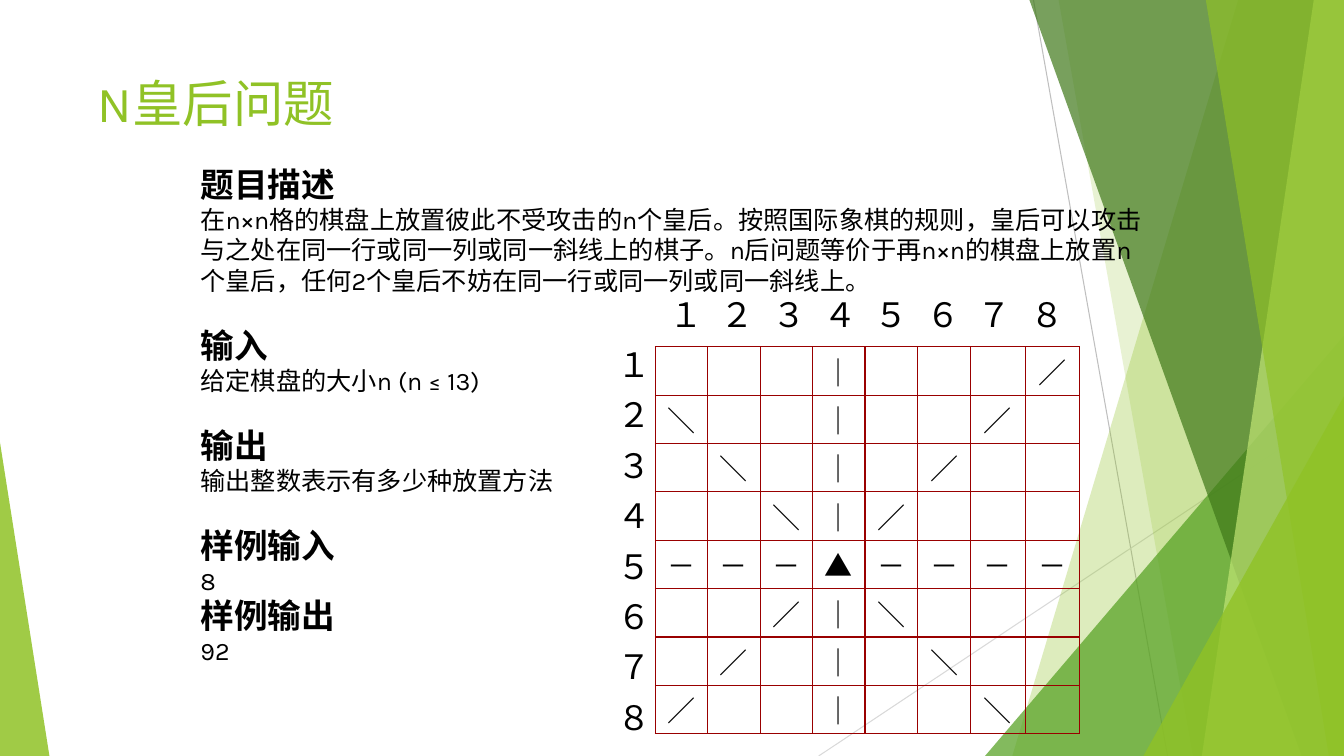
from lxml.etree import SubElement
from pptx import Presentation
from pptx.dml.color import RGBColor
from pptx.enum.shapes import MSO_CONNECTOR, MSO_SHAPE
from pptx.enum.text import MSO_ANCHOR, PP_ALIGN
from pptx.oxml.ns import qn
from pptx.util import Inches, Pt

LIME = RGBColor(0x90, 0xC2, 0x26)
GREEN = RGBColor(0x54, 0xA0, 0x21)
FOREST = RGBColor(0x3F, 0x78, 0x19)
PALE = RGBColor(0xC0, 0xE4, 0x74)
GRAY = RGBColor(0xBF, 0xBF, 0xBF)
LIGHT_GRAY = RGBColor(0xD9, 0xD9, 0xD9)
BLACK = RGBColor(0, 0, 0)
BOARD_RED = RGBColor(0x99, 0, 0)
LATIN_FONT = "Karla"
CHINESE_FONT = "Noto Sans CJK SC"
PLAIN_TABLE_STYLE = "{2D5ABB26-0587-4C30-8999-92F81FD0307C}"
WIDTH, HEIGHT = 13.33, 7.5

TITLE = "N皇后问题"
SECTIONS = [
    ("题目描述", "在n×n格的棋盘上放置彼此不受攻击的n个皇后。按照国际象棋的规则，皇后可以攻击与之处在同一行或同一列或同一斜线上的棋子。n后问题等价于再n×n的棋盘上放置n个皇后，任何2个皇后不妨在同一行或同一列或同一斜线上。", 0),
    ("输入", "给定棋盘的大小n (n ≤ 13)", 21),
    ("输出", "输出整数表示有多少种放置方法", 21),
    ("样例输入", "8", 21),
    ("样例输出", "92", 0),
]
LABELS = "１２３４５６７８"
SIZE = len(LABELS)
QUEEN_ROW, QUEEN_COLUMN = 4, 3
RAYS = [
    ((10.25, 0), (11.58, HEIGHT), GRAY),
    ((WIDTH, 4.03), (8.12, HEIGHT), LIGHT_GRAY),
]
BAND, TRIANGLE = "band", "triangle"
FACETS = [
    (BAND, (12.28, 10.04), LIME, 30),
    (BAND, (10.5, 11.83), LIME, 20),
    (TRIANGLE, (9.77, 3.33, 3.56, 1), GREEN, 72),
    (BAND, (10.21, 12.91), FOREST, 70),
    (BAND, (13.03, 11.92), PALE, 70),
    (BAND, (11.96, 13.18), LIME, 65),
    (TRIANGLE, (11.34, 3.93, 1.99, 1), LIME, 80),
    (TRIANGLE, (0, 4.39, 0.49, 0), LIME, 85),
]


def add_ray(page, start, end, color):
    ray = page.shapes.add_connector(
        MSO_CONNECTOR.STRAIGHT, *[Inches(value) for value in start + end])
    ray.line.color.rgb = color
    ray.line.width = Pt(0.75)
    SubElement(ray._element.spPr, qn("a:effectLst"))


def add_facet(page, kind, geometry, color, opacity):
    if kind == BAND:
        top_x, bottom_x = geometry
        outline = page.shapes.build_freeform(Inches(top_x), 0, scale=1.0)
        corners = [(WIDTH, 0), (WIDTH, HEIGHT), (bottom_x, HEIGHT)]
        outline.add_line_segments(
            [(Inches(x), Inches(y)) for x, y in corners], close=True)
        facet = outline.convert_to_shape()
    else:
        left, top, width, apex = geometry
        facet = page.shapes.add_shape(
            MSO_SHAPE.ISOSCELES_TRIANGLE, Inches(left), Inches(top),
            Inches(width), Inches(HEIGHT - top))
        facet.adjustments[0] = apex
    facet.shadow.inherit = False
    facet.line.fill.background()
    facet.fill.solid()
    facet.fill.fore_color.rgb = color
    tint = facet._element.spPr.find(qn("a:solidFill"))[0]
    SubElement(tint, qn("a:alpha"), val=str(opacity * 1000))


def add_span(para, text, size, font, color=BLACK, bold=False):
    span = para.add_run()
    span.text = text
    span.font.size = Pt(size)
    span.font.bold = bold
    span.font.color.rgb = color
    span.font.name = font
    SubElement(span._r.get_or_add_rPr(), qn("a:ea"), typeface=CHINESE_FONT)


def add_text_box(page, left, top, width, height):
    box = page.shapes.add_textbox(
        Inches(left), Inches(top), Inches(width), Inches(height))
    box.text_frame.word_wrap = True
    return box.text_frame


def add_plain_table(page, left, top, column_widths, row_heights):
    table = page.shapes.add_table(
        len(row_heights), len(column_widths), Inches(left), Inches(top),
        Inches(sum(column_widths)), Inches(sum(row_heights))).table
    table.first_row = table.horz_banding = False
    table._tbl.tblPr.find(qn("a:tableStyleId")).text = PLAIN_TABLE_STYLE
    for column, width in zip(table.columns, column_widths):
        column.width = Inches(width)
    for row, height in zip(table.rows, row_heights):
        row.height = Inches(height)
    for cell in table.iter_cells():
        cell.margin_left = cell.margin_right = 0
        cell.margin_top = cell.margin_bottom = 0
        cell.vertical_anchor = MSO_ANCHOR.MIDDLE
    return table


def fill_cell(cell, text, size):
    para = cell.text_frame.paragraphs[0]
    para.alignment = PP_ALIGN.CENTER
    add_span(para, text, size, CHINESE_FONT)


def add_borders(cell):
    properties = cell._tc.get_or_add_tcPr()
    for side in ("lnL", "lnR", "lnT", "lnB"):
        edge = SubElement(properties, qn(f"a:{side}"), w=str(Pt(1)))
        fill = SubElement(edge, qn("a:solidFill"))
        SubElement(fill, qn("a:srgbClr"), val=str(BOARD_RED))


def attack_mark(row, column):
    down, across = row - QUEEN_ROW, column - QUEEN_COLUMN
    if down == 0:
        return "▲" if across == 0 else "－"
    if across == 0:
        return "｜"
    return {down: "＼", -down: "／"}.get(across, "")


def main():
    deck = Presentation()
    deck.slide_width, deck.slide_height = Inches(WIDTH), Inches(HEIGHT)
    page = deck.slides.add_slide(deck.slide_layouts[6])
    for ray in RAYS:
        add_ray(page, *ray)
    for facet in FACETS:
        add_facet(page, *facet)

    title = add_text_box(page, 0.74, 0.67, 9.4, 1.44)
    title.margin_left = Inches(0.23)
    add_span(title.paragraphs[0], TITLE, 36, LATIN_FONT, LIME)

    body = add_text_box(page, 1.89, 1.58, 9.64, 5.15)
    for index, (heading, text, gap) in enumerate(SECTIONS):
        para = body.add_paragraph() if index else body.paragraphs[0]
        if gap:
            para.space_before = Pt(gap)
        add_span(para, heading, 24, CHINESE_FONT, bold=True)
        add_span(body.add_paragraph(), text, 18, LATIN_FONT)

    axes = add_plain_table(
        page, 6.04, 2.85, [0.51] * SIZE + [0.53], [0.5] * (SIZE + 1))
    axes.cell(1, 1).merge(axes.cell(SIZE, SIZE))
    for index, label in enumerate(LABELS, 1):
        fill_cell(axes.cell(0, index), label, 24)
        fill_cell(axes.cell(index, 0), label, 24)

    board = add_plain_table(
        page, 6.5, 3.44, [0.52] * 5 + [0.53, 0.54, 0.54], [0.48] * SIZE)
    for row in range(SIZE):
        for column in range(SIZE):
            cell = board.cell(row, column)
            add_borders(cell)
            mark = attack_mark(row, column)
            if mark:
                fill_cell(cell, mark, 20)

    deck.save("out.pptx")


if __name__ == "__main__":
    main()
